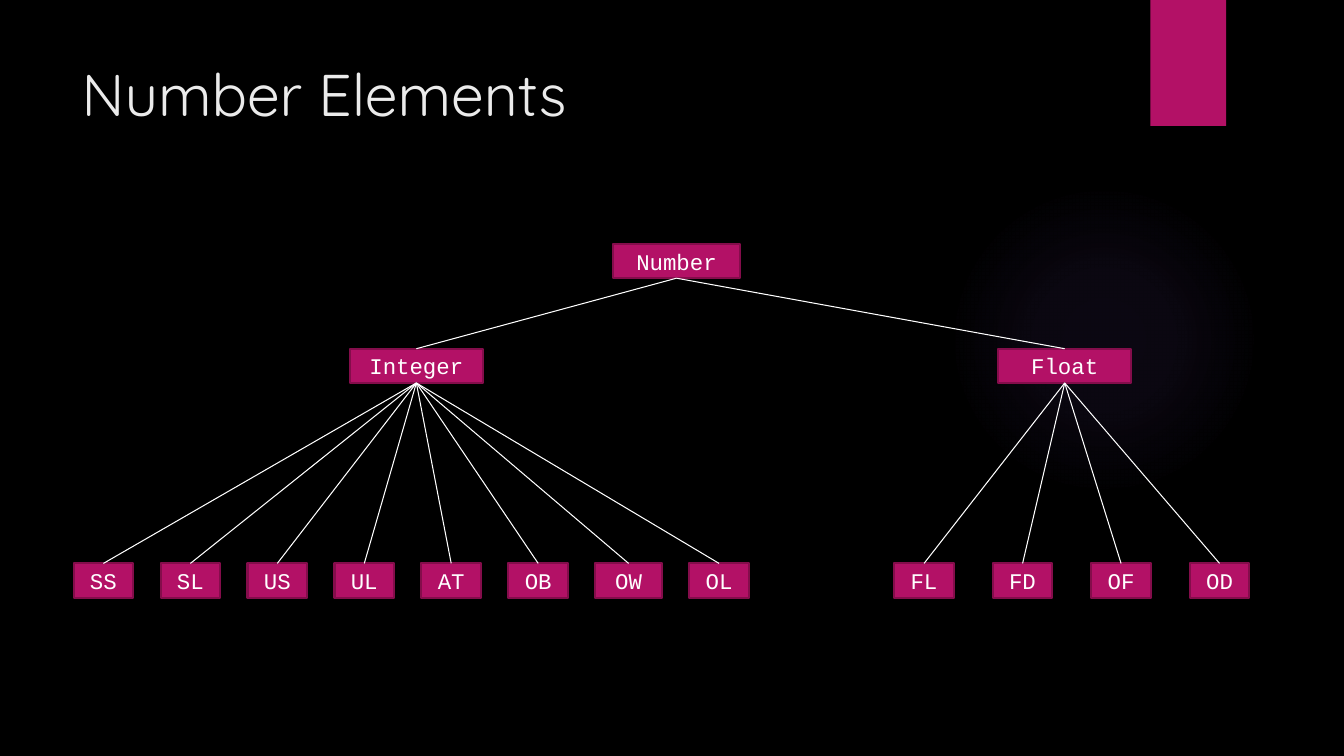
from dataclasses import dataclass

from lxml import etree
from pptx import Presentation
from pptx import util as u
from pptx.dml.color import RGBColor
from pptx.enum import shapes, text
from pptx.oxml import ns, parse_xml

COLORS = {
    "back": "000000", "pink": "B31166", "edge": "840D4B",
    "white": "FFFFFF", "title": "EBEBEB", "glow": "9B6BF2",
}
WIDE, HIGH = u.Inches(13.33), u.Inches(7.5)
COL, ROW = WIDE / 100, HIGH / 100  # grid of 100 columns by 100 rows

BOX_H = 4.53
LEAF_W, LEAF_Y = 4.43, 74.53
MID_W, MID_Y = 9.9, 46.13


@dataclass
class Node:
    label: str
    left: float
    top: float
    width: float


@dataclass
class Branch:
    node: Node
    leaves: str
    start: float
    gap: float


ROOT = Node("Number", 45.61, 32.27, 9.45)
BRANCHES = [
    Branch(Node("Integer", 26.03, MID_Y, MID_W),
           "SS SL US UL AT OB OW OL", 5.48, 2.04),
    Branch(Node("Float", 74.27, MID_Y, MID_W), "FL FD OF OD", 66.54, 2.9),
]
WIDTHS = {"OW": 4.95}  # leaves wider than the rest


def rgb(name: str) -> RGBColor:
    return RGBColor.from_string(COLORS[name])


def place(left: float, top: float, width: float, height: float) -> list[u.Emu]:
    """Turn grid columns and rows into slide lengths."""
    return [u.Emu(round(n)) for n in
            (left * COL, top * ROW, width * COL, height * ROW)]


def write(shape, words: str, *, font: str, size: float, color: str,
          align=text.PP_ALIGN.LEFT) -> None:
    frame = shape.text_frame
    frame.text = words
    frame.word_wrap = True
    frame.auto_size = text.MSO_AUTO_SIZE.NONE
    frame.vertical_anchor = text.MSO_ANCHOR.MIDDLE
    par = frame.paragraphs[0]
    par.alignment = align
    face = par.runs[0].font
    face.name, face.size = font, u.Pt(size)
    face.color.rgb = rgb(color)


def plain(slide, kind, *spot: float):
    """Add a shape with neither line nor shadow."""
    shape = slide.shapes.add_shape(kind, *place(*spot))
    shape.shadow.inherit = False
    shape.line.fill.background()
    return shape


def tint(shape, color: str) -> None:
    shape.fill.solid()
    shape.fill.fore_color.rgb = rgb(color)


def glow(slide) -> None:
    """Add the soft round light behind the tree."""
    disc = plain(slide, shapes.MSO_SHAPE.OVAL, 70.59, 24.4, 23.11, 41.07)
    stops = "".join(
        f'<a:gs pos="{pos * 1000}"><a:srgbClr val="{COLORS["glow"]}">'
        f'<a:alpha val="{alpha * 1000}"/></a:srgbClr></a:gs>'
        for pos, alpha in ((0, 7), (36, 6), (69, 0)))
    fill = parse_xml(
        f'<a:gradFill {ns.nsdecls("a")}><a:gsLst>{stops}</a:gsLst>'
        '<a:path path="circle"><a:fillToRect l="50000" t="50000" '
        'r="50000" b="50000"/></a:path></a:gradFill>')
    disc._element.spPr.insert(2, fill)


def draw(slide, node: Node):
    box = plain(slide, shapes.MSO_SHAPE.RECTANGLE,
                node.left, node.top, node.width, BOX_H)
    tint(box, "pink")
    box.line.color.rgb = rgb("edge")
    box.line.width = u.Pt(1.5)
    write(box, node.label, font="Courier New", size=16, color="white",
          align=text.PP_ALIGN.CENTER)
    return box


def link(slide, above, below) -> None:
    """Join the bottom of one box to the top of another."""
    line = slide.shapes.add_connector(shapes.MSO_CONNECTOR.STRAIGHT, 0, 0, 0, 0)
    line.begin_connect(above, 2)
    line.end_connect(below, 0)
    line.line.color.rgb = rgb("white")
    line.line.width = u.Pt(0.75)
    etree.SubElement(line._element.spPr, ns.qn("a:effectLst"))


def spread(branch: Branch) -> list[Node]:
    """Set the leaves of a branch side by side with equal gaps."""
    nodes, left = [], branch.start
    for label in branch.leaves.split():
        width = WIDTHS.get(label, LEAF_W)
        nodes.append(Node(label, left, LEAF_Y, width))
        left += width + branch.gap
    return nodes


def tree(slide) -> None:
    root = draw(slide, ROOT)
    pairs = []
    for branch in BRANCHES:
        stem = draw(slide, branch.node)
        pairs.append((root, stem))
        pairs += [(stem, draw(slide, leaf)) for leaf in spread(branch)]
    for above, below in pairs:
        link(slide, above, below)


def main() -> None:
    deck = Presentation()
    deck.slide_width, deck.slide_height = WIDE, HIGH
    slide = deck.slides.add_slide(deck.slide_layouts[5])
    slide.background.fill.solid()
    slide.background.fill.fore_color.rgb = rgb("back")

    glow(slide)
    tint(plain(slide, shapes.MSO_SHAPE.RECTANGLE, 85.6, 0, 5.63, 16.67), "pink")
    tree(slide)

    title = slide.shapes.title
    title.left, title.top, title.width, title.height = place(5.33, 6.67, 77.19, 11.2)
    write(title, "Number Elements", font="Quicksand", size=42, color="title")
    deck.save("out.pptx")


if __name__ == "__main__":
    main()
